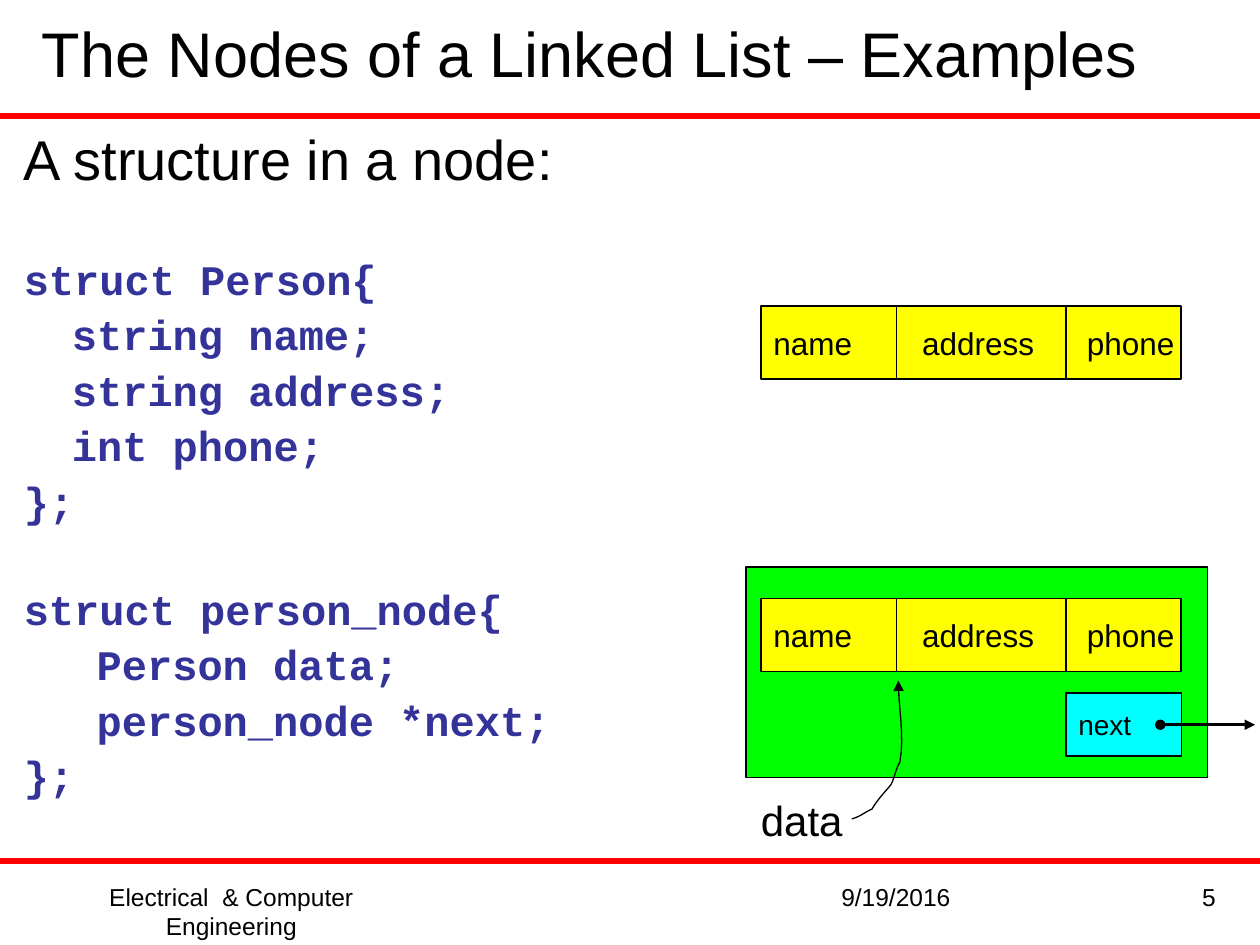
import lxml.etree
import pptx
import pptx.dml.color
import pptx.enum.shapes
import pptx.enum.text
import pptx.oxml.ns
import pptx.util

Cm = pptx.util.Cm
Pt = pptx.util.Pt
ALIGN = pptx.enum.text.PP_ALIGN
ANCHOR = pptx.enum.text.MSO_ANCHOR

COLORS = {
    "ink": "000000",
    "rule": "FF0000",
    "code": "333399",
    "node": "00FF00",
    "record": "FFFF00",
    "pointer": "00FFFF",
}
SLIDE_WIDTH, SLIDE_HEIGHT = 25.4, 19.05
RECORD_LEFT, RECORD_WIDTH, RECORD_HEIGHT = 15.34, 8.47, 1.47
DIVIDERS = (18.08, 21.49)
FOOTER_TOP, FOOTER_HEIGHT = 17.65, 1.32

# Code lines: left margin in cm, space before in points, text
LINE_GAP, BLANK_GAP = 2.9, 33
CODE = [
    (0, 35, "struct Person{"),
    (0.97, LINE_GAP, "string name;"),
    (0.97, LINE_GAP, "string address;"),
    (0.97, LINE_GAP, "int phone;"),
    (0, LINE_GAP, "};"),
    (0, BLANK_GAP, "struct person_node{"),
    (1.47, LINE_GAP, "Person data;"),
    (1.47, LINE_GAP, "person_node *next;"),
    (0, LINE_GAP, "};"),
]

DATA_ARROW_START = (17.17, 16.51)
DATA_ARROW_CURVES = [
    [(17.35, 16.46), (17.42, 16.38), (17.58, 16.31)],
    [(17.68, 16.13), (17.83, 15.98), (17.96, 15.82)],
    [(18.03, 15.7), (18.06, 15.49), (18.14, 15.37)],
    [(18.24, 14.83), (18.11, 14.27), (18.11, 13.72)],
]


def add_xml(parent, tag, **attributes):
    return lxml.etree.SubElement(parent, pptx.oxml.ns.qn(tag), attributes)


def bezier_points(start, curves, steps=8):
    """Points along a chain of cubic curves, without the start itself."""
    points = []
    for first, second, end in curves:
        for step in range(1, steps + 1):
            t = step / steps
            weights = ((1 - t) ** 3, 3 * t * (1 - t) ** 2, 3 * t * t * (1 - t), t ** 3)
            corners = (start, first, second, end)
            points.append(tuple(
                sum(w * corner[axis] for w, corner in zip(weights, corners))
                for axis in (0, 1)))
        start = end
    return points


class SlideBuilder:
    font = "Arial"
    code_font = "Courier New"
    thin = 0.75

    def __init__(self, slide):
        self.slide = slide
        self.shapes = slide.shapes

    def color(self, name):
        return pptx.dml.color.RGBColor.from_string(COLORS[name])

    def stroke(self, shape, color="ink", width=thin, head=None, tail=None):
        shape.line.color.rgb = self.color(color)
        shape.line.width = Pt(width)
        outline = shape._element.spPr.find(pptx.oxml.ns.qn("a:ln"))
        for tag, kind in (("a:headEnd", head), ("a:tailEnd", tail)):
            if kind:
                add_xml(outline, tag, type=kind)

    def run(self, paragraph, text, size, align=ALIGN.LEFT, color="ink",
            font=font, bold=False):
        paragraph.alignment = align
        run = paragraph.add_run()
        run.text = text
        run.font.size = Pt(size)
        run.font.name = font
        run.font.bold = bold
        run.font.color.rgb = self.color(color)

    def text(self, left, top, width, height, text, size, align=ALIGN.LEFT,
             anchor=ANCHOR.TOP, wrap=True):
        box = self.shapes.add_textbox(Cm(left), Cm(top), Cm(width), Cm(height))
        frame = box.text_frame
        frame.word_wrap = wrap
        frame.vertical_anchor = anchor
        self.run(frame.paragraphs[0], text, size, align)
        return frame

    def line(self, start, end, **style):
        connector = self.shapes.add_connector(
            pptx.enum.shapes.MSO_CONNECTOR.STRAIGHT,
            *(Cm(length) for length in (*start, *end)))
        self.stroke(connector, **style)
        add_xml(connector._element.spPr, "a:effectLst")

    def box(self, left, top, width, height, fill, text="", size=18):
        shape = self.shapes.add_shape(
            pptx.enum.shapes.MSO_SHAPE.RECTANGLE,
            Cm(left), Cm(top), Cm(width), Cm(height))
        shape.shadow.inherit = False
        shape.fill.solid()
        shape.fill.fore_color.rgb = self.color(fill)
        self.stroke(shape)
        frame = shape.text_frame
        frame.vertical_anchor = ANCHOR.MIDDLE
        frame.margin_right = 0
        if text:
            self.run(frame.paragraphs[0], text, size)
        return frame

    def record(self, top):
        """A Person record: three fields set on tab stops, with dividers."""
        frame = self.box(RECORD_LEFT, top, RECORD_WIDTH, RECORD_HEIGHT, "record",
                         "name\taddress\tphone")
        tabs = add_xml(frame.paragraphs[0]._p.get_or_add_pPr(), "a:tabLst")
        for stop in (3, 6.32):
            add_xml(tabs, "a:tab", pos=str(Cm(stop)), algn="l")
        for x in DIVIDERS:
            self.line((x, top), (x, top + RECORD_HEIGHT))

    def curved_arrow(self, start, curves):
        builder = self.shapes.build_freeform(Cm(start[0]), Cm(start[1]))
        builder.add_line_segments(
            [(Cm(x), Cm(y)) for x, y in bezier_points(start, curves)], close=False)
        arrow = builder.convert_to_shape()
        arrow.shadow.inherit = False
        arrow.fill.background()
        self.stroke(arrow, tail="triangle")

    def code(self, frame, lines):
        for margin, gap, text in lines:
            paragraph = frame.add_paragraph()
            paragraph.space_before = Pt(gap)
            paragraph._p.get_or_add_pPr().set("marL", str(Cm(margin)))
            self.run(paragraph, text, 24, ALIGN.JUSTIFY, "code", self.code_font, True)


def main():
    deck = pptx.Presentation()
    deck.slide_width, deck.slide_height = Cm(SLIDE_WIDTH), Cm(SLIDE_HEIGHT)
    builder = SlideBuilder(deck.slides.add_slide(deck.slide_layouts[6]))

    for y in (2.34, 17.35):
        builder.line((0, y), (SLIDE_WIDTH, y), color="rule", width=3.5)
    for left, width, text, align in (
            (0.64, 8.05, "Electrical  & Computer Engineering", ALIGN.CENTER),
            (16.71, 5.92, "9/19/2016", ALIGN.LEFT),
            (23.29, 1.47, "5", ALIGN.RIGHT)):
        builder.text(left, FOOTER_TOP, width, FOOTER_HEIGHT, text, 14, align)

    builder.text(0.1, 0.28, 23.93, 1.57, "The Nodes of a Linked List – Examples ", 36,
                 ALIGN.CENTER, ANCHOR.MIDDLE)
    body = builder.text(0.23, 2.39, 24.74, 14.73, "A structure in a node:", 32,
                        ALIGN.JUSTIFY)
    body.paragraphs[0].space_before = Pt(4)
    builder.code(body, CODE)

    builder.record(6.17)
    builder.box(15.04, 11.43, 9.31, 4.24, "node")
    builder.record(12.07)
    builder.box(DIVIDERS[1], 13.97, 2.33, 1.27, "pointer", "next", 16)
    builder.line((23.39, 14.61), (25.3, 14.61), width=1.5, head="oval", tail="triangle")
    builder.text(15.09, 15.88, 2.33, 1.27, "data", 24, anchor=ANCHOR.MIDDLE, wrap=False)
    builder.curved_arrow(DATA_ARROW_START, DATA_ARROW_CURVES)

    deck.save("out.pptx")


if __name__ == "__main__":
    main()
